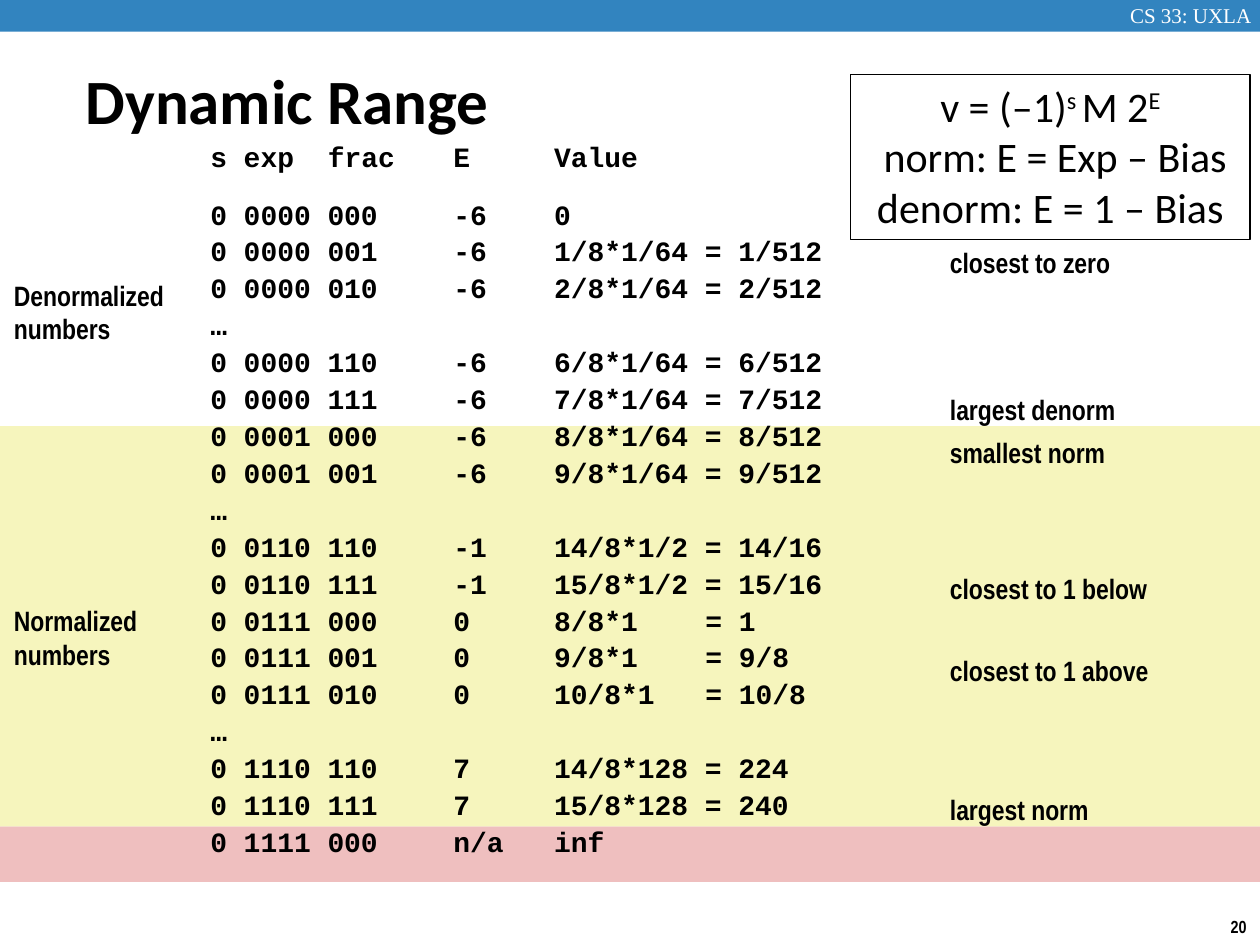
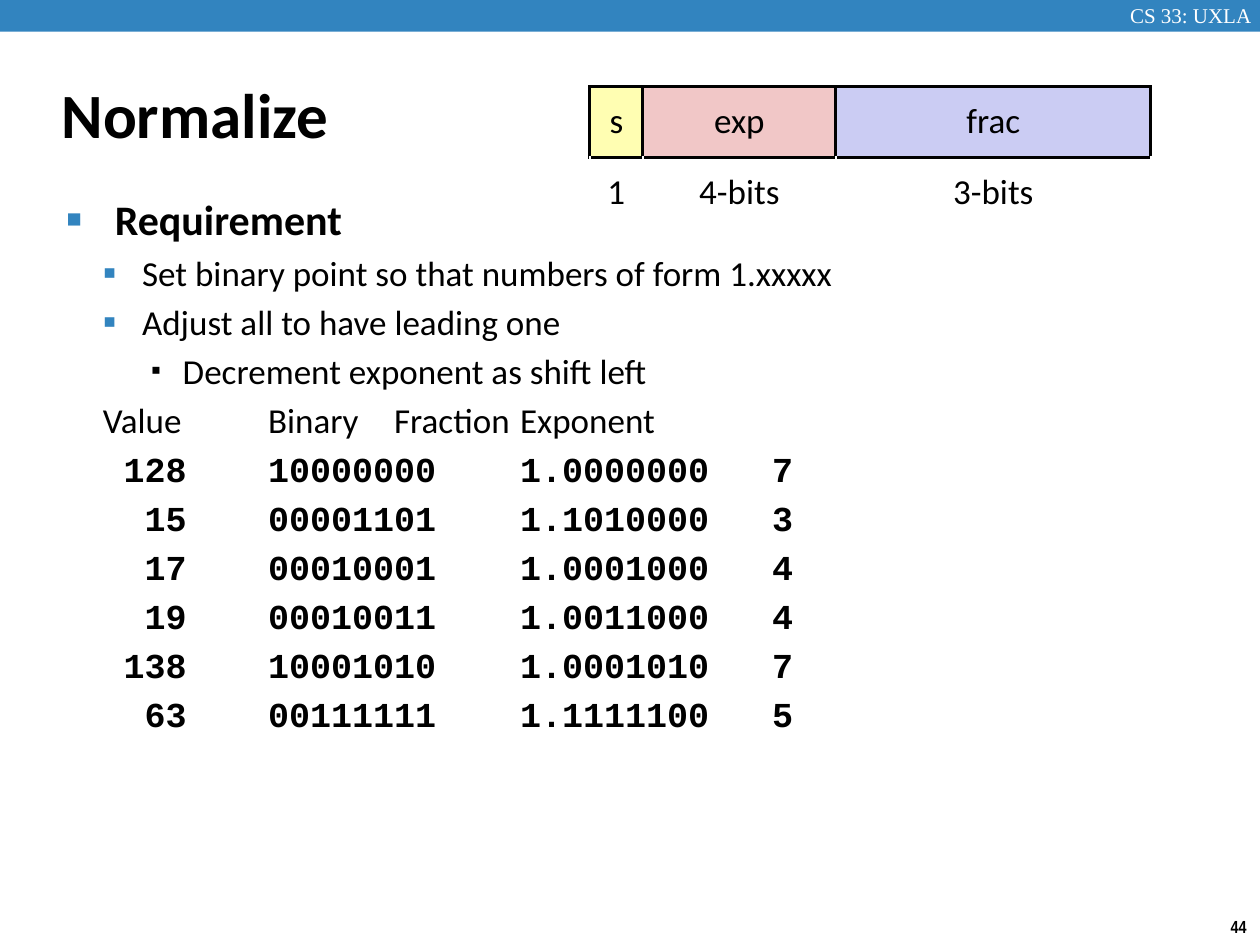
from pptx import Presentation
from pptx.dml.color import RGBColor
from pptx.enum.shapes import MSO_SHAPE
from pptx.enum.text import MSO_ANCHOR, MSO_AUTO_SIZE, PP_ALIGN
from pptx.oxml.ns import qn
from pptx.util import Cm, Pt
from lxml.etree import SubElement

HUES = {"band": "3284BF", "ink": "000000", "white": "FFFFFF",
        "inf": "EFBFBF", "norm": "F6F5BD",
        "sign": "FFFEB2", "exp": "F1C7C7", "frac": "CBCCF3"}
SANS, NARROW, MONO, SERIF = "Calibri", "Arial Narrow", "Courier New", "Times New Roman"


def hue(name):
    return RGBColor.from_string(HUES[name])


class Deck:
    def __init__(self):
        self.prs = Presentation()
        self.prs.slide_width, self.prs.slide_height = Cm(25.4), Cm(19.05)
        self.slide = None

    def page(self, layout, number, title, box):
        """Start a slide with its band, course label, number and title."""
        self.slide = self.prs.slides.add_slide(self.prs.slide_layouts[layout])
        self.rect((0, 0, 25.4, 0.64), "band")
        self.text((22.43, -0.08, 3.15, 0.76), ["CS 33: UXLA"], 12, SERIF, "white",
                  align=PP_ALIGN.CENTER, inset=0.25, bold=False)
        self.text((24.3, 18.36, 1.34, 0.69), [number], 10, NARROW,
                  align=PP_ALIGN.CENTER)
        head = self.slide.shapes.title
        self.place(head, box)
        frame = head.text_frame
        frame.text = title
        frame.auto_size = MSO_AUTO_SIZE.NONE
        frame.vertical_anchor = MSO_ANCHOR.MIDDLE
        para = frame.paragraphs[0]
        para.alignment = PP_ALIGN.LEFT
        self.indent(para, 0.33, -0.33)
        self.font(para, 36, SANS, bold=True)

    def place(self, shape, box):
        shape.left, shape.top, shape.width, shape.height = map(Cm, box)

    def font(self, para, size, face, color="ink", bold=False):
        for run in para.runs:
            run.font.size, run.font.name, run.font.bold = Pt(size), face, bold
            run.font.color.rgb = hue(color)

    def indent(self, para, left, first):
        props = para._p.get_or_add_pPr()
        props.set("marL", str(Cm(left)))
        props.set("indent", str(Cm(first)))
        return props

    def tabs(self, para, stops):
        row = SubElement(para._p.get_or_add_pPr(), qn("a:tabLst"))
        for stop in stops:
            SubElement(row, qn("a:tab"), pos=str(Cm(stop)), algn="l")

    def rect(self, box, fill=None, line=None):
        shape = self.slide.shapes.add_shape(MSO_SHAPE.RECTANGLE, *map(Cm, box))
        shape.shadow.inherit = False
        if fill:
            shape.fill.solid()
            shape.fill.fore_color.rgb = hue(fill)
        else:
            shape.fill.background()
        if line:
            shape.line.color.rgb = hue("ink")
            shape.line.width = Pt(line)
        else:
            shape.line.fill.background()
        return shape

    def text(self, box, lines, size, face, color="ink", align=PP_ALIGN.LEFT,
             inset=0.1, bold=True):
        frame = self.slide.shapes.add_textbox(*map(Cm, box)).text_frame
        frame.word_wrap = True
        frame.margin_left = frame.margin_right = Cm(inset)
        frame.margin_top = frame.margin_bottom = Cm(min(inset, 0.13))
        frame.text = "\n".join(lines)
        for para in frame.paragraphs:
            para.alignment = align
            self.font(para, size, face, color, bold)
        return frame

    def formula(self, box, lines):
        """Framed lines, each a list of (text, raised) parts."""
        frame = self.rect(box, line=0.75).text_frame
        frame.vertical_anchor = MSO_ANCHOR.TOP
        for i, parts in enumerate(lines):
            para = frame.add_paragraph() if i else frame.paragraphs[0]
            para.alignment = PP_ALIGN.CENTER
            for part, high in parts:
                run = para.add_run()
                run.text = part
                if high:
                    run._r.get_or_add_rPr().set("baseline", "32000")
            self.font(para, 24, SANS)

    def bullet(self, props, mark, size, color):
        tint = SubElement(props, qn("a:buClr"))
        SubElement(tint, qn("a:srgbClr"), val=HUES[color])
        SubElement(props, qn("a:buSzPct"), val=str(size * 1000))
        SubElement(props, qn("a:buFont"), typeface="Arial")
        SubElement(props, qn("a:buChar"), char=mark)

    def body(self, box, points, rows):
        """Bulleted points, then tabbed rows under a heading row."""
        styles = [(0.97, -0.97, "■", 60, "band", 24),
                  (1.52, -0.79, "▪", 110, "band", 20),
                  (2.34, -0.64, "▪", 80, "ink", 20)]
        shape = self.slide.placeholders[1]
        self.place(shape, box)
        frame = shape.text_frame
        frame.auto_size = MSO_AUTO_SIZE.NONE
        frame.text = "\n".join([t for _, t in points] + ["\t".join(r) for r in rows])
        paras = frame.paragraphs
        for para, (level, _) in zip(paras, points):
            left, first, mark, pct, color, size = styles[level]
            para.level = level
            para.space_before = Pt(size / 5)
            self.bullet(self.indent(para, left, first), mark, pct, color)
            self.font(para, size, SANS, bold=level == 0)
        for i, (para, row) in enumerate(zip(paras[len(points):], rows)):
            para.level = 1
            para.space_before = Pt(4)
            # right-align the numbers in a field of four characters
            shift = 0.42 * (4 - len(row[0])) if i else 0
            props = self.indent(para, 1.52, shift - 0.79)
            props.set("defTabSz", str(Cm(2.54)))
            if i:
                para.line_spacing = Pt(24)
            SubElement(props, qn("a:buNone"))
            self.font(para, 20, MONO if i else SANS, bold=i > 0)

    def edge(self, cell, sides):
        props = cell._tc.get_or_add_tcPr()
        for i, side in enumerate(sides):
            line = props.makeelement(qn("a:ln" + side), {"w": str(Pt(2))})
            fill = SubElement(line, qn("a:solidFill"))
            SubElement(fill, qn("a:srgbClr"), val=HUES["ink"])
            props.insert(i, line)

    def table(self, left, top, widths, high, rows, fills):
        box = map(Cm, (left, top, sum(widths), high * len(rows)))
        grid = self.slide.shapes.add_table(len(rows), len(widths), *box).table
        grid.first_row = grid.horz_banding = False
        for col, width in zip(grid.columns, widths):
            col.width = Cm(width)
        for r, row in enumerate(rows):
            grid.rows[r].height = Cm(high)
            for c, word in enumerate(row):
                cell = grid.cell(r, c)
                cell.text = word
                cell.vertical_anchor = MSO_ANCHOR.MIDDLE
                cell.margin_left = cell.margin_right = Cm(0.15)
                cell.margin_top = cell.margin_bottom = Cm(0.15)
                para = cell.text_frame.paragraphs[0]
                para.alignment = PP_ALIGN.CENTER
                self.font(para, 20, SANS)
                if r:
                    cell.fill.background()
                else:
                    cell.fill.solid()
                    cell.fill.fore_color.rgb = hue(fills[c])
                self.edge(cell, "T" if r else "LRTB")


deck = Deck()

# Dynamic range: shaded zones behind the list of values
deck.page(5, "20", "Dynamic Range", (1.47, 0.71, 22.02, 2.57))
deck.rect((0, 16.66, 25.4, 1.12), "inf")
deck.rect((0, 8.59, 25.4, 8.07), "norm")
VALUES = [
    "s exp\tfrac\tE\tValue",
    "0 0000 000\t-6\t0",
    "0 0000 001\t-6\t1/8*1/64 = 1/512",
    "0 0000 010\t-6\t2/8*1/64 = 2/512",
    "…",
    "0 0000 110\t-6\t6/8*1/64 = 6/512",
    "0 0000 111\t-6\t7/8*1/64 = 7/512",
    "0 0001 000\t-6\t8/8*1/64 = 8/512",
    "0 0001 001\t-6\t9/8*1/64 = 9/512",
    "…",
    "0 0110 110\t-1\t14/8*1/2 = 14/16",
    "0 0110 111\t-1\t15/8*1/2 = 15/16",
    "0 0111 000\t0\t8/8*1\t= 1",
    "0 0111 001\t0\t9/8*1\t= 9/8",
    "0 0111 010\t0\t10/8*1\t= 10/8",
    "…",
    "0 1110 110\t7\t14/8*128 = 224",
    "0 1110 111\t7\t15/8*128 = 240",
    "0 1111 000\tn/a\tinf",
]
lines = deck.text((4.24, 2.74, 12.9, 15.44), VALUES, 16, MONO, inset=0).paragraphs
for line in lines:
    line.line_spacing = 1.1
    deck.tabs(line, (2.37, 4.9, 6.93, 9.98))
lines[1].space_before = Pt(12)

# Remarks on both sides
for top, note in [(4.85, "closest to zero"), (7.82, "largest denorm"),
                  (8.69, "smallest norm"), (11.43, "closest to 1 below"),
                  (13.08, "closest to 1 above"), (15.88, "largest norm")]:
    deck.text((19.05, top, 5.5, 0.89), [note], 16, NARROW)
for top, kind in [(5.51, "Denormalized"), (12.07, "Normalized")]:
    deck.text((0.18, top, 4, 1.57), [kind, "numbers"], 16, NARROW)

deck.formula((17.15, 1.5, 8.05, 3.33), [
    [("v = (–1)", False), ("s ", True), ("M 2", False), ("E", True)],
    [(" norm: E = Exp – Bias", False)],
    [("denorm: E = 1 – Bias", False)],
])

# Normalize: requirement, worked values and bit layout
deck.page(1, "44", "Normalize", (0.99, 1.22, 21.08, 2.11))
deck.body((1.09, 3.78, 21.95, 13.82), [
    (0, "Requirement"),
    (1, "Set binary point so that numbers of form 1.xxxxx"),
    (1, "Adjust all to have leading one"),
    (2, "Decrement exponent as shift left"),
], [
    ("Value", "Binary", "Fraction", "Exponent"),
    ("128", "10000000", "1.0000000", "7"),
    ("15", "00001101", "1.1010000", "3"),
    ("17", "00010001", "1.0001000", "4"),
    ("19", "00010011", "1.0011000", "4"),
    ("138", "10001010", "1.0001010", "7"),
    ("63", "00111111", "1.1111100", "5"),
])
deck.table(11.89, 1.75, (1.07, 3.89, 6.35), 1.42,
           [("s", "exp", "frac"), ("1", "4-bits", "3-bits")],
           ("sign", "exp", "frac"))

deck.prs.save("out.pptx")
